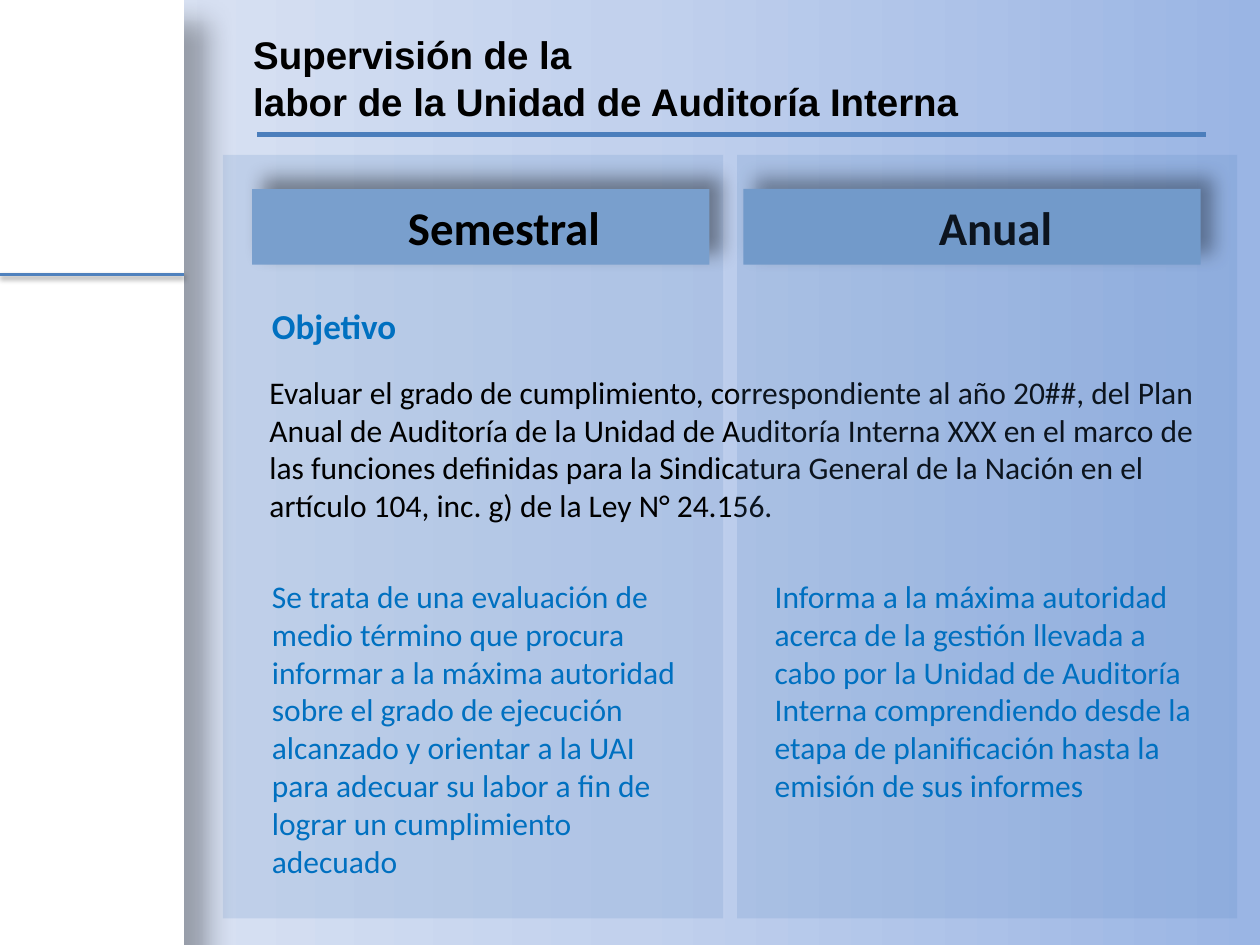
from dataclasses import dataclass
from typing import NamedTuple, Optional

from lxml import etree
from pptx import Presentation
from pptx import util as u
from pptx.dml.color import RGBColor
from pptx.enum import shapes, text
from pptx.oxml.ns import qn


@dataclass(frozen=True)
class Theme:
    black: str = "000000"
    white: str = "FFFFFF"
    accent: str = "4F81BD"
    rule: str = "4B7EBC"
    header: str = "799FCD"
    blue: str = "0070C0"
    background: tuple = ((0, "9AB5E4"), (50, "C2D1ED"), (100, "E1E8F5"))
    panel_opacity: int = 16
    title_font: str = "Arial"
    body_font: str = "Calibri"
    title_size: float = 22
    header_size: float = 26.8
    label_size: float = 20
    body_size: float = 18


class Area(NamedTuple):
    """Left, top, width and height in grid columns and rows."""
    col: float
    row: float
    cols: float
    rows: float


class Shadow(NamedTuple):
    opacity: int
    blur: float
    distance: float
    angle: int


class Period(NamedTuple):
    """One column of the slide: its panel, header and note."""
    name: str
    note: str
    panel: Area
    header: Area
    note_area: Area


THEME = Theme()
COLUMNS, ROWS = 100, 75
WIDTH, HEIGHT = u.Inches(10), u.Inches(7.5)

TITLE = ("Supervisión de la", "labor de la Unidad de Auditoría Interna")
OBJECTIVE = (
    "Evaluar el grado de cumplimiento, correspondiente al año 20##, del Plan "
    "Anual de Auditoría de la Unidad de Auditoría Interna XXX en el marco de "
    "las funciones definidas para la Sindicatura General de la Nación en el "
    "artículo 104, inc. g) de la Ley N° 24.156."
)
HALF_YEAR = Period(
    "Semestral",
    "Se trata de una evaluación de medio término que procura informar a la "
    "máxima autoridad sobre el grado de ejecución alcanzado y orientar a la "
    "UAI para adecuar su labor a fin de lograr un cumplimiento adecuado",
    Area(17.7, 12.3, 39.7, 60.6), Area(20, 15, 36.3, 6), Area(20.6, 45.3, 35.7, 25.2),
)
FULL_YEAR = Period(
    "Anual",
    "Informa a la máxima autoridad acerca de la gestión llevada a cabo por la "
    "Unidad de Auditoría Interna comprendiendo desde la etapa de planificación "
    "hasta la emisión de sus informes",
    Area(58.5, 12.3, 39.7, 60.6), Area(59, 15, 36.3, 6), Area(60.5, 45.3, 35.7, 19.2),
)


def x(col: float) -> int:
    return round(WIDTH * col / COLUMNS)


def y(row: float) -> int:
    return round(HEIGHT * row / ROWS)


def frame(area: Area) -> tuple:
    return x(area.col), y(area.row), x(area.cols), y(area.rows)


def place(page, box, area: Area) -> None:
    """Move a placeholder to its area and to the front."""
    box.left, box.top, box.width, box.height = frame(area)
    page.shapes.element.append(box.element)


def set_effect(item, shadow: Optional[Shadow] = None) -> None:
    effects = etree.SubElement(item.element.spPr, qn("a:effectLst"))
    if shadow:
        outer = etree.SubElement(
            effects, qn("a:outerShdw"), blurRad=str(u.Pt(shadow.blur)),
            dist=str(u.Pt(shadow.distance)), dir=str(shadow.angle * 60000),
            algn="ctr", rotWithShape="0")
        color = etree.SubElement(outer, qn("a:srgbClr"), val=THEME.black)
        etree.SubElement(color, qn("a:alpha"), val=str(shadow.opacity * 1000))


def paint(box, color: str, shadow: Optional[Shadow] = None, opacity: int = 100) -> None:
    box.fill.solid()
    box.fill.fore_color.rgb = RGBColor.from_string(color)
    box.line.fill.background()
    if opacity < 100:
        fill_color = box.element.spPr.find(".//" + qn("a:srgbClr"))
        etree.SubElement(fill_color, qn("a:alpha"), val=str(opacity * 1000))
    set_effect(box, shadow)


def add_rectangle(page, area: Area):
    return page.shapes.add_shape(shapes.MSO_SHAPE.RECTANGLE, *frame(area))


def add_rule(page, start: float, end: float, row: float, color: str,
             width: float, shadow: Optional[Shadow] = None) -> None:
    rule = page.shapes.add_connector(
        shapes.MSO_CONNECTOR.STRAIGHT, x(start), y(row), x(end), y(row))
    rule.line.color.rgb = RGBColor.from_string(color)
    rule.line.width = u.Pt(width)
    set_effect(rule, shadow)


def write(box, lines: tuple, font: str, size: float, color: str,
          bold: bool = False, align=text.PP_ALIGN.LEFT) -> None:
    for index, line in enumerate(lines):
        paras = box.text_frame
        para = paras.add_paragraph() if index else paras.paragraphs[0]
        para.text, para.alignment, para.space_before = line, align, u.Pt(0)
        para.font.name, para.font.size, para.font.bold = font, u.Pt(size), bold
        para.font.color.rgb = RGBColor.from_string(color)


def add_text(page, area: Area, line: str, size: float, color: str,
             bold: bool = False, wrap: bool = True) -> None:
    box = page.shapes.add_textbox(*frame(area))
    box.text_frame.word_wrap = wrap
    box.text_frame.auto_size = text.MSO_AUTO_SIZE.SHAPE_TO_FIT_TEXT
    write(box, (line,), THEME.body_font, size, color, bold)


def add_panel(page, period: Period) -> None:
    paint(add_rectangle(page, period.panel), THEME.accent, opacity=THEME.panel_opacity)


def format_header(box, period: Period) -> None:
    paint(box, THEME.header, Shadow(40, 11, 9, 315))
    box.text_frame.auto_size = text.MSO_AUTO_SIZE.NONE
    box.text_frame.vertical_anchor = text.MSO_ANCHOR.MIDDLE
    box.text_frame.margin_left = x(4.7)
    write(box, (period.name,), THEME.body_font, THEME.header_size,
          THEME.black, True, text.PP_ALIGN.CENTER)


def add_note(page, period: Period) -> None:
    add_text(page, period.note_area, period.note, THEME.body_size, THEME.blue)


def set_background(page) -> None:
    fill = page.background.fill
    fill.gradient()
    fill.gradient_angle = 180
    stops = page.element.find(".//" + qn("a:gsLst"))
    for stop in list(stops):
        stops.remove(stop)
    for position, color in THEME.background:
        stop = etree.SubElement(stops, qn("a:gs"), pos=str(position * 1000))
        etree.SubElement(stop, qn("a:srgbClr"), val=color)
    # An angle of 180 degrees runs the stops from right to left
    stops.getparent().find(qn("a:lin")).set("ang", str(180 * 60000))


def main() -> None:
    deck = Presentation()
    deck.slide_width, deck.slide_height = WIDTH, HEIGHT
    page = deck.slides.add_slide(deck.slide_layouts[1])
    set_background(page)

    # White side band
    paint(add_rectangle(page, Area(0, 0, 14.6, 75)), THEME.white, Shadow(30, 15, 18, 45))
    add_rule(page, 0, 14.6, 21.8, THEME.accent, 2, Shadow(38, 3.1, 1.6, 90))

    # Title and its rule
    add_panel(page, HALF_YEAR)
    title = page.shapes.title
    place(page, title, Area(19.1, 2, 76.5, 8.4))
    title.text_frame.auto_size = text.MSO_AUTO_SIZE.NONE
    title.text_frame.vertical_anchor = text.MSO_ANCHOR.TOP
    write(title, TITLE, THEME.title_font, THEME.title_size, THEME.black, True)
    add_rule(page, 20.4, 95.7, 10.7, THEME.rule, 3)

    # Column headers
    body = page.placeholders[1]
    place(page, body, HALF_YEAR.header)
    format_header(body, HALF_YEAR)
    properties = body.text_frame.paragraphs[0]._p.get_or_add_pPr()
    properties.set("marL", "0")
    properties.set("indent", "0")
    etree.SubElement(properties, qn("a:buNone"))
    format_header(add_rectangle(page, FULL_YEAR.header), FULL_YEAR)

    # Objective and notes, with the second panel tinting the text below it
    add_text(page, Area(20.6, 23.7, 12.6, 4.4), "Objetivo", THEME.label_size,
             THEME.blue, bold=True, wrap=False)
    add_text(page, Area(20.4, 29.1, 76.6, 13.1), OBJECTIVE, THEME.body_size, THEME.black)
    add_note(page, HALF_YEAR)
    add_panel(page, FULL_YEAR)
    add_note(page, FULL_YEAR)

    deck.save("out.pptx")


if __name__ == "__main__":
    main()
